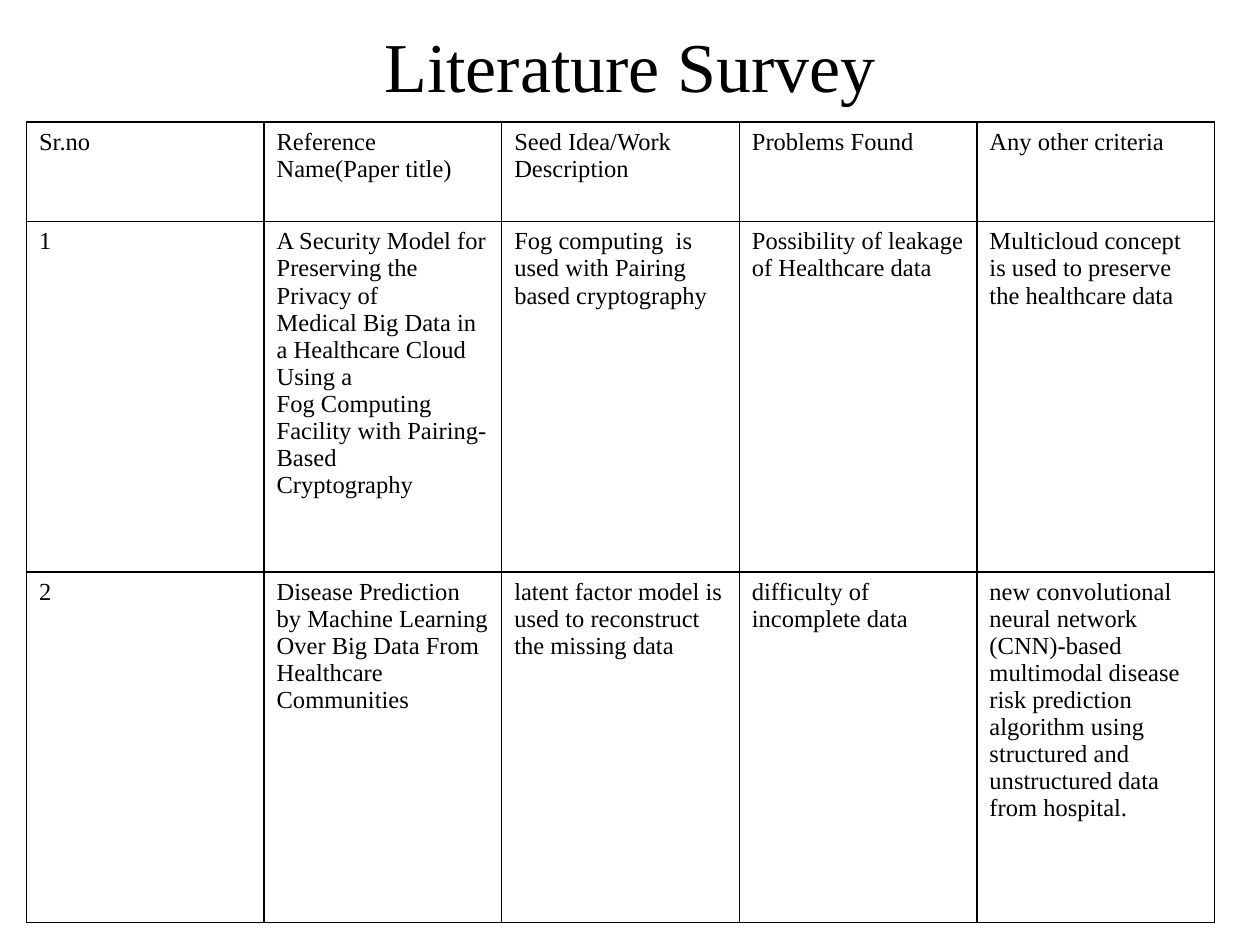
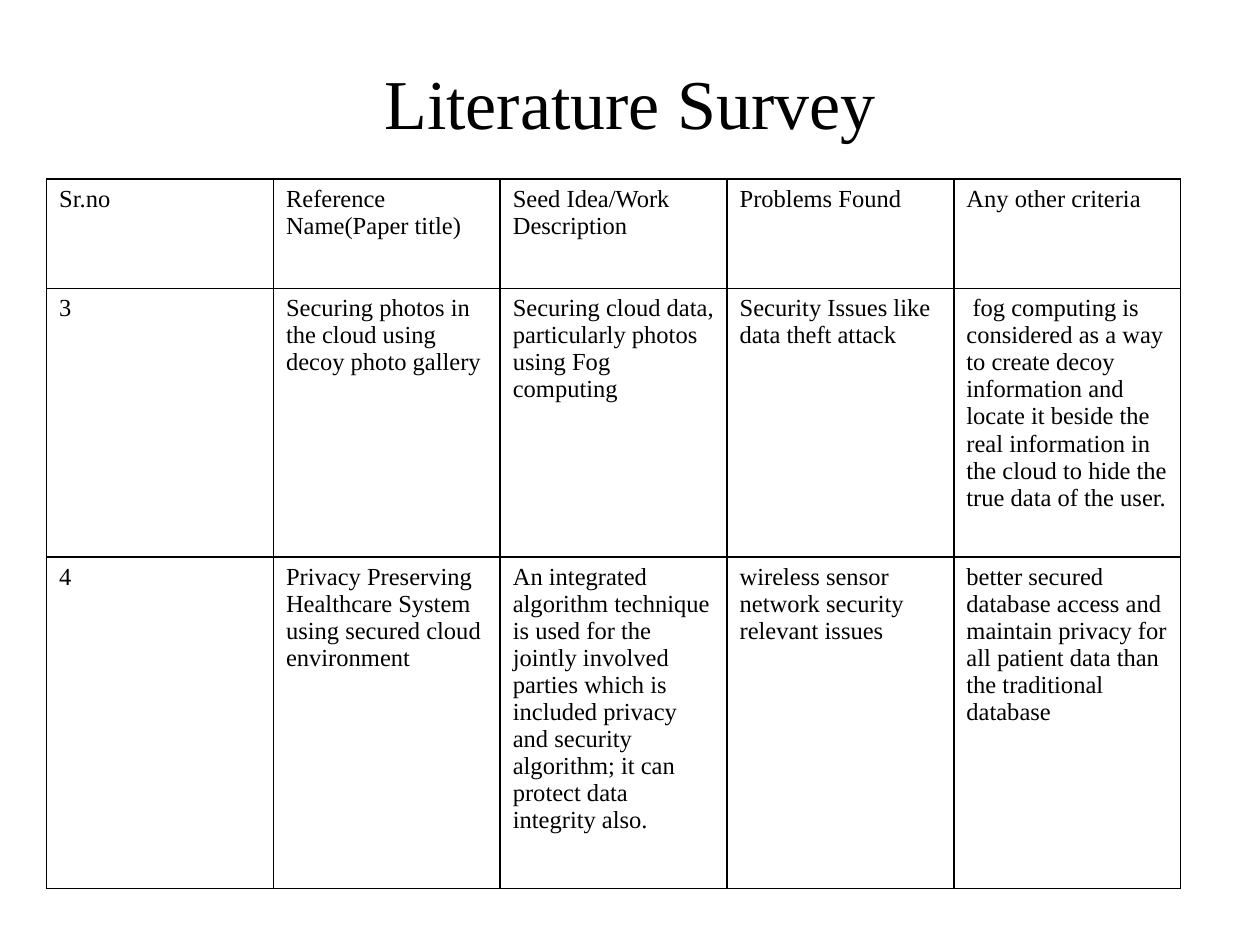
from pptx import Presentation
from pptx.dml.color import RGBColor
from pptx.enum.text import MSO_ANCHOR, PP_ALIGN
from pptx.oxml.ns import qn
from pptx.util import Inches, Pt
from lxml.etree import SubElement

TITLE = "Literature Survey"
HEADINGS = [
    "Sr.no", "Reference Name(Paper title)", "Seed Idea/Work Description",
    "Problems Found", "Any other criteria",
]
SURVEYS = [
    {
        "title_at": (0.5, 0.06, 9, 0.91),
        "table_at": (0.21, 0.97), "table_width": 9.43,
        "row_heights": [0.79, 2.78, 2.78],
        "papers": [
            ["1",
             "A Security Model for Preserving the Privacy of\n"
             "Medical Big Data in a Healthcare Cloud Using a\n"
             "Fog Computing Facility with Pairing-Based\n"
             "Cryptography",
             "Fog computing  is used with Pairing based cryptography",
             "Possibility of leakage of Healthcare data",
             "Multicloud concept is used to preserve the healthcare data"],
            ["2",
             "Disease Prediction by Machine Learning Over Big Data From "
             "Healthcare Communities",
             "latent factor model is used to reconstruct the missing data",
             "difficulty of incomplete data",
             "new convolutional neural network (CNN)-based multimodal disease "
             "risk prediction algorithm using structured and unstructured data "
             "from hospital."],
        ],
    },
    {
        "title_at": (0.5, 0.3, 9, 1.01),
        "table_at": (0.37, 1.42), "table_width": 9,
        "row_heights": [0.87, 2.13, 2.63],
        "papers": [
            ["3",
             "Securing photos in the cloud using decoy photo gallery",
             "Securing cloud data, particularly photos using Fog computing",
             "Security Issues like data theft attack",
             " fog computing is considered as a way to create decoy information "
             "and locate it beside the real information in the cloud to hide "
             "the true data of the user."],
            ["4",
             "Privacy Preserving Healthcare System using secured cloud environment",
             "An integrated algorithm technique is used for the jointly involved "
             "parties which is included privacy and security algorithm; it can "
             "protect data integrity also.",
             "wireless sensor network security relevant issues",
             "better secured database access and maintain privacy for all "
             "patient data than the traditional database"],
        ],
    },
]
COLORS = {"text": "000000", "border": "000000"}
FONT = "Times New Roman"
TITLE_SIZE, CELL_SIZE, BORDER_WIDTH = 40, 14, 1


def write(para, text, size):
    """Add text to a paragraph, with a line break at each newline."""
    for number, line in enumerate(text.split("\n")):
        if number:
            para.add_line_break()
        span = para.add_run()
        span.text = line
        span.font.name = FONT
        span.font.size = Pt(size)
        span.font.color.rgb = RGBColor.from_string(COLORS["text"])


def add_title(page, place):
    frame = page.shapes.add_textbox(*map(Inches, place)).text_frame
    frame.word_wrap = True
    frame.vertical_anchor = MSO_ANCHOR.MIDDLE
    para = frame.paragraphs[0]
    para.alignment = PP_ALIGN.CENTER
    write(para, TITLE, TITLE_SIZE)


def set_borders(cell):
    properties = cell._tc.get_or_add_tcPr()
    for side in ("lnL", "lnR", "lnT", "lnB"):
        line = SubElement(properties, qn(f"a:{side}"), w=str(Pt(BORDER_WIDTH)))
        fill = SubElement(line, qn("a:solidFill"))
        SubElement(fill, qn("a:srgbClr"), val=COLORS["border"])


def add_survey_table(page, survey):
    rows = [HEADINGS] + survey["papers"]
    heights = survey["row_heights"]
    left, top = survey["table_at"]
    width = survey["table_width"]
    table = page.shapes.add_table(
        len(rows), len(HEADINGS),
        Inches(left), Inches(top), Inches(width), Inches(sum(heights)),
    ).table
    for column in table.columns:
        column.width = Inches(width / len(HEADINGS))
    for row, height, texts in zip(table.rows, heights, rows):
        row.height = Inches(height)
        for cell, text in zip(row.cells, texts):
            set_borders(cell)
            cell.fill.background()
            write(cell.text_frame.paragraphs[0], text, CELL_SIZE)


def main():
    deck = Presentation()
    deck.slide_width, deck.slide_height = Inches(10), Inches(7.5)
    for survey in SURVEYS:
        page = deck.slides.add_slide(deck.slide_layouts[6])
        add_title(page, survey["title_at"])
        add_survey_table(page, survey)
    deck.save("out.pptx")


if __name__ == "__main__":
    main()
